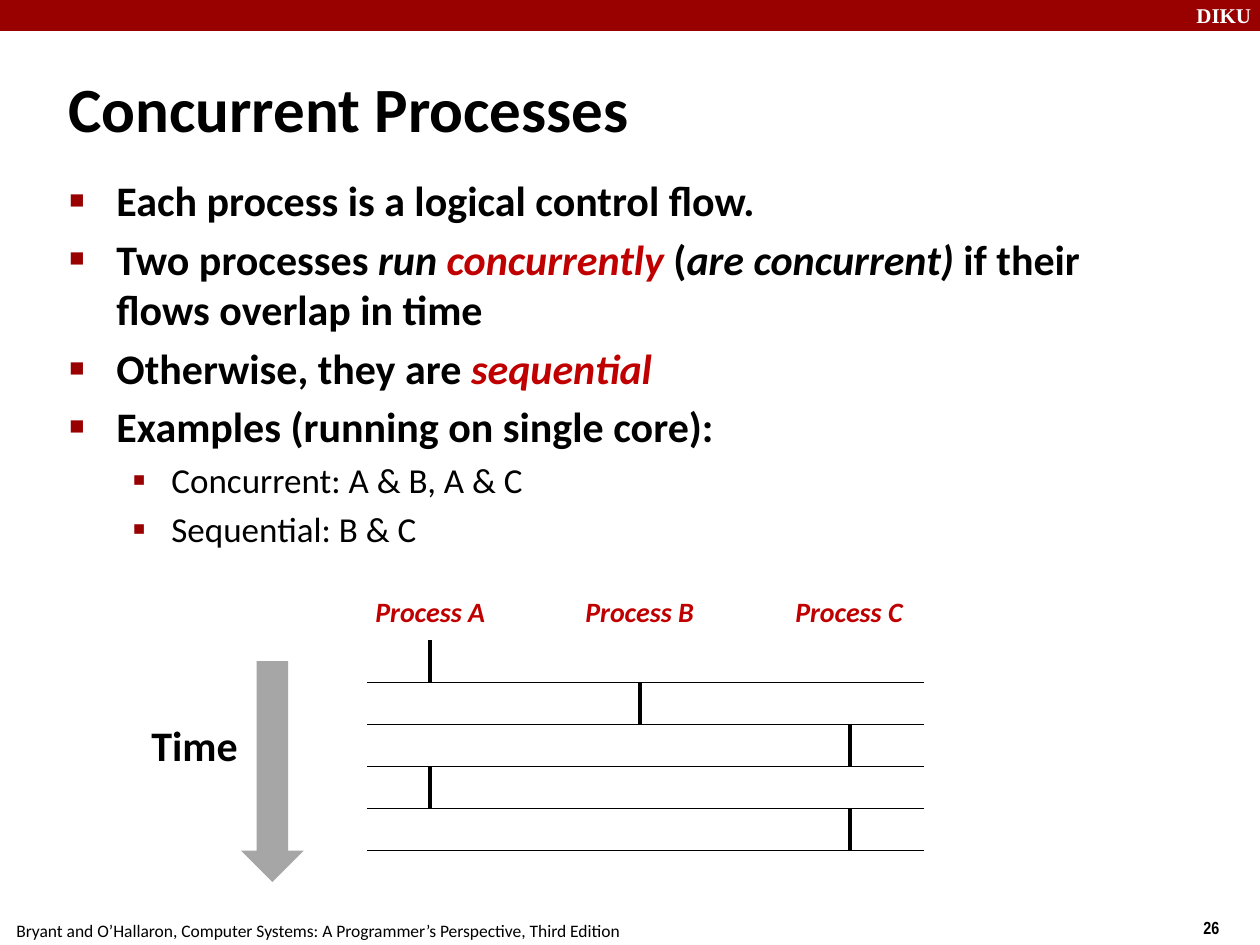
from lxml import etree
from pptx import Presentation
from pptx import util as u
from pptx.dml.color import RGBColor
from pptx.enum import dml, shapes, text
from pptx.oxml.ns import qn

BLACK = RGBColor(0x00, 0x00, 0x00)
WHITE = RGBColor(0xFF, 0xFF, 0xFF)
MAROON = RGBColor(0x99, 0x00, 0x00)
RED = RGBColor(0xC0, 0x00, 0x00)
GRAY = RGBColor(0xA6, 0xA6, 0xA6)

PX_PER_INCH = 126
PLAIN = {}
BOLD = {"bold": True}
BOLD_ITALIC = {"bold": True, "italic": True}
KEYWORD = {"bold": True, "italic": True, "color": RED}

BULLETS = [
    (0, [("Each process is a logical control flow.", BOLD)]),
    (0, [("Two processes ", BOLD), ("run ", BOLD_ITALIC), ("concurrently", KEYWORD),
         (" (", BOLD), ("are concurrent)", BOLD_ITALIC),
         (" if their flows overlap in time", BOLD)]),
    (0, [("Otherwise, they are ", BOLD), ("sequential", KEYWORD)]),
    (0, [("Examples (running on single core):", BOLD)]),
    (1, [("Concurrent: A & B, A & C", PLAIN)]),
    (1, [("Sequential: B & C", PLAIN)]),
]
LEVELS = [
    {"size": 24, "margin": 48, "indent": -47, "before": 4.8, "mark": "■", "percent": 60},
    {"size": 20, "margin": 103, "indent": -39, "before": 4, "mark": "▪", "percent": 110},
]
PROCESSES = ["Process A", "Process B", "Process C"]
SCHEDULE = [0, 1, 2, 0, 2]


def px(length):
    """Turn a length in px into EMU."""
    return u.Emu(round(length * 914400 / PX_PER_INCH))


def add_run(paragraph, words, size, name="Calibri", color=BLACK, bold=False, italic=False):
    """Add one formatted run to a paragraph."""
    run = paragraph.add_run()
    run.text = words
    font = run.font
    font.size, font.name = u.Pt(size), name
    font.bold, font.italic = bold, italic
    font.color.rgb = color


def add_box(slide, left, top, width, height, wrap=True):
    """Add a text box and return its text frame."""
    frame = slide.shapes.add_textbox(px(left), px(top), px(width), px(height)).text_frame
    frame.word_wrap = wrap
    if not wrap:
        frame.auto_size = text.MSO_AUTO_SIZE.SHAPE_TO_FIT_TEXT
    return frame


def add_label(slide, box, words, size, wrap=False, **style):
    """Add a one-run text box."""
    frame = add_box(slide, *box, wrap=wrap)
    add_run(frame.paragraphs[0], words, size, **style)
    return frame


def add_solid(slide, kind, left, top, width, height, color):
    """Add a filled shape without outline."""
    shape = slide.shapes.add_shape(kind, px(left), px(top), px(width), px(height))
    shape.shadow.inherit = False
    shape.fill.solid()
    shape.fill.fore_color.rgb = color
    shape.line.fill.background()


def add_line(slide, start, end, weight, dash=None):
    """Add a straight black line."""
    line = slide.shapes.add_connector(
        shapes.MSO_CONNECTOR.STRAIGHT, *map(px, start), *map(px, end))
    line.line.color.rgb = BLACK
    line.line.width = u.Pt(weight)
    line.line.dash_style = dash
    etree.SubElement(line._element.spPr, qn("a:effectLst"))


def set_bullet(paragraph, level):
    """Give a paragraph the indent and bullet of its level."""
    properties = paragraph._p.get_or_add_pPr()
    properties.set("marL", str(px(level["margin"])))
    properties.set("indent", str(px(level["indent"])))
    color = etree.SubElement(properties, qn("a:buClr"))
    etree.SubElement(color, qn("a:srgbClr"), val=str(MAROON))
    etree.SubElement(properties, qn("a:buSzPct"), val=str(level["percent"] * 1000))
    etree.SubElement(properties, qn("a:buFont"), typeface="Arial")
    etree.SubElement(properties, qn("a:buChar"), char=level["mark"])


def add_header(slide, left, top, width, height):
    """Draw the top band with the department name."""
    add_solid(slide, shapes.MSO_SHAPE.RECTANGLE, left, top, width, height, MAROON)
    add_label(slide, (left + width - 76, top - 4, 84, 38), "DIKU", 12, wrap=True,
              name="Times New Roman", color=WHITE, bold=True)


def add_footer(slide, left, top, width, height):
    """Write the book reference and the page number."""
    add_label(slide, (left + 4, top + 3, 640, height),
              "Bryant and O’Hallaron, Computer Systems: A Programmer’s Perspective, Third Edition",
              10, wrap=True)
    add_label(slide, (left + width - 69, top, 94, height), "26", 10, wrap=True,
              name="Arial Narrow", bold=True)


def add_title(slide, *box):
    """Write the slide title."""
    frame = add_label(slide, box, "Concurrent Processes", 36, wrap=True, bold=True)
    frame.vertical_anchor = text.MSO_ANCHOR.MIDDLE


def add_bullets(slide, *box):
    """Write the bulleted body text."""
    frame = add_box(slide, *box)
    for index, (depth, runs) in enumerate(BULLETS):
        paragraph = frame.add_paragraph() if index else frame.paragraphs[0]
        level = LEVELS[depth]
        paragraph.level = depth
        set_bullet(paragraph, level)
        if index:
            paragraph.space_before = u.Pt(level["before"])
        for words, style in runs:
            add_run(paragraph, words, level["size"], **style)


def add_time_arrow(slide, left, top, width, height):
    """Draw the downward time arrow and its label."""
    add_label(slide, (left, top + 52, 118, 63), "Time", 24, wrap=True, bold=True)
    add_solid(slide, shapes.MSO_SHAPE.DOWN_ARROW, left + width - 63, top, 63, height, GRAY)


def add_schedule(slide, left, top, width, height):
    """Draw which process runs in each time slot."""
    lane_gap, label_height = 210, 52
    first_row = top + label_height
    slot = (height - label_height) // len(SCHEDULE)
    lanes = [left + 63 + lane_gap * index for index in range(len(PROCESSES))]
    for lane, process in zip(lanes, PROCESSES):
        add_label(slide, (lane - 67, top, 150, 47), process, 16, wrap=True, **KEYWORD)
    for index, process in enumerate(SCHEDULE):
        start = first_row + index * slot
        end = start + slot
        add_line(slide, (lanes[process], start), (lanes[process], end), 2)
        add_line(slide, (left, end), (left + width, end), 0.25, dml.MSO_LINE.ROUND_DOT)


def main():
    """Build and save the slide."""
    presentation = Presentation()
    presentation.slide_width, presentation.slide_height = px(1260), px(945)
    slide = presentation.slides.add_slide(presentation.slide_layouts[6])
    add_header(slide, 0, 0, 1260, 31)
    add_footer(slide, 0, 911, 1260, 34)
    add_title(slide, 56, 67, 837, 80)
    add_bullets(slide, 56, 168, 1089, 357)
    add_schedule(slide, 367, 588, 557, 262)
    add_time_arrow(slide, 139, 661, 165, 221)
    presentation.save("out.pptx")


if __name__ == "__main__":
    main()
